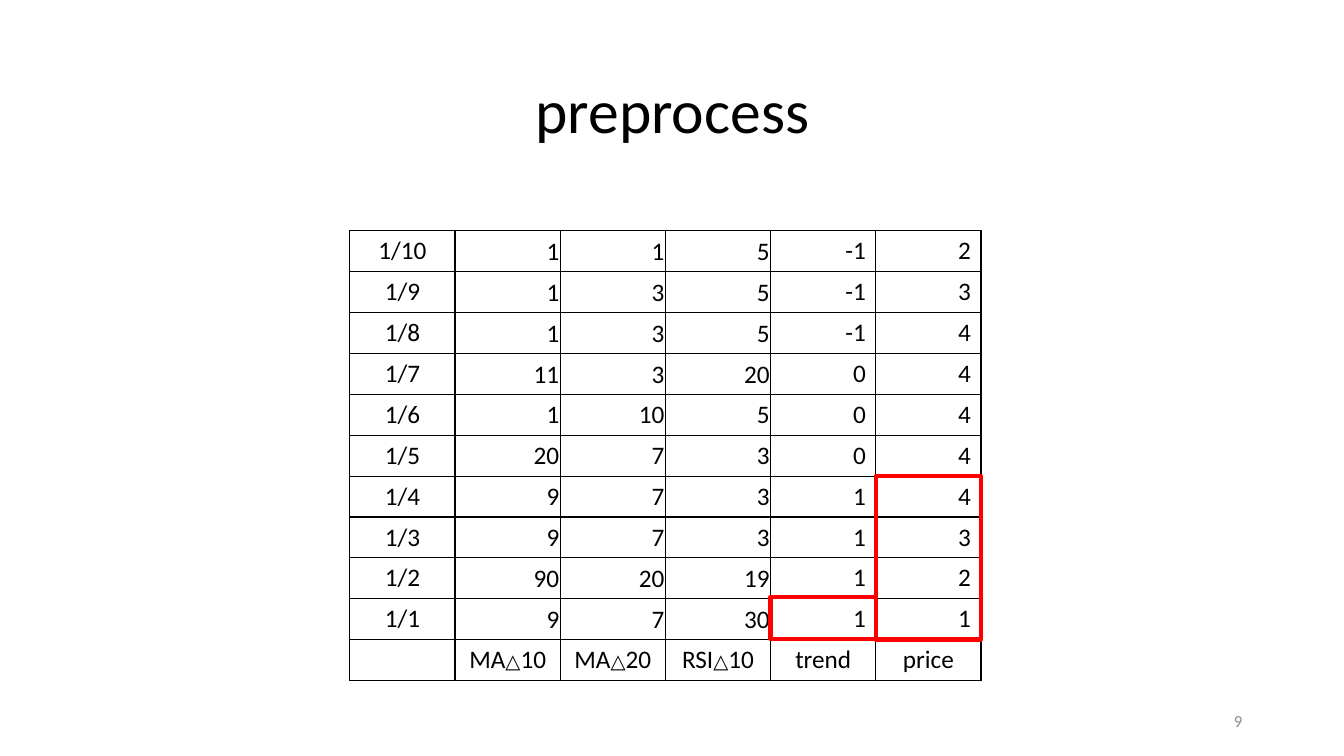
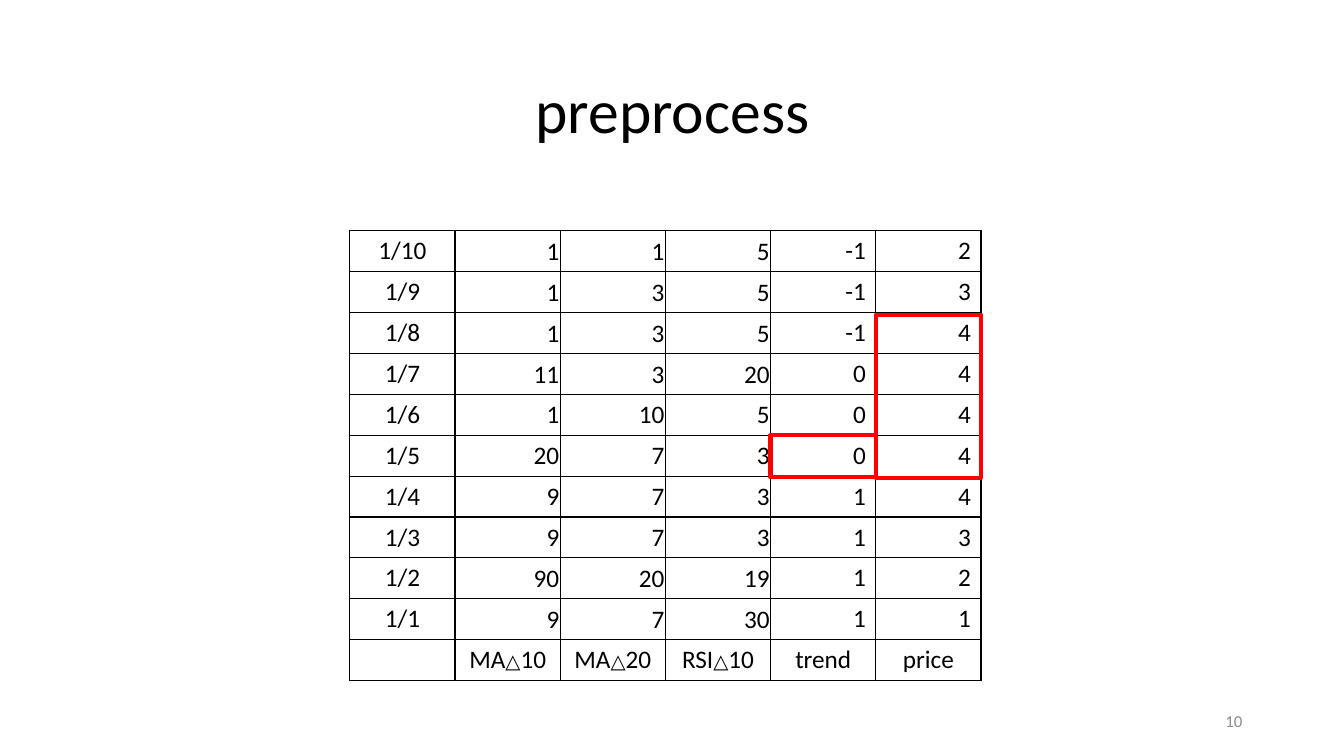
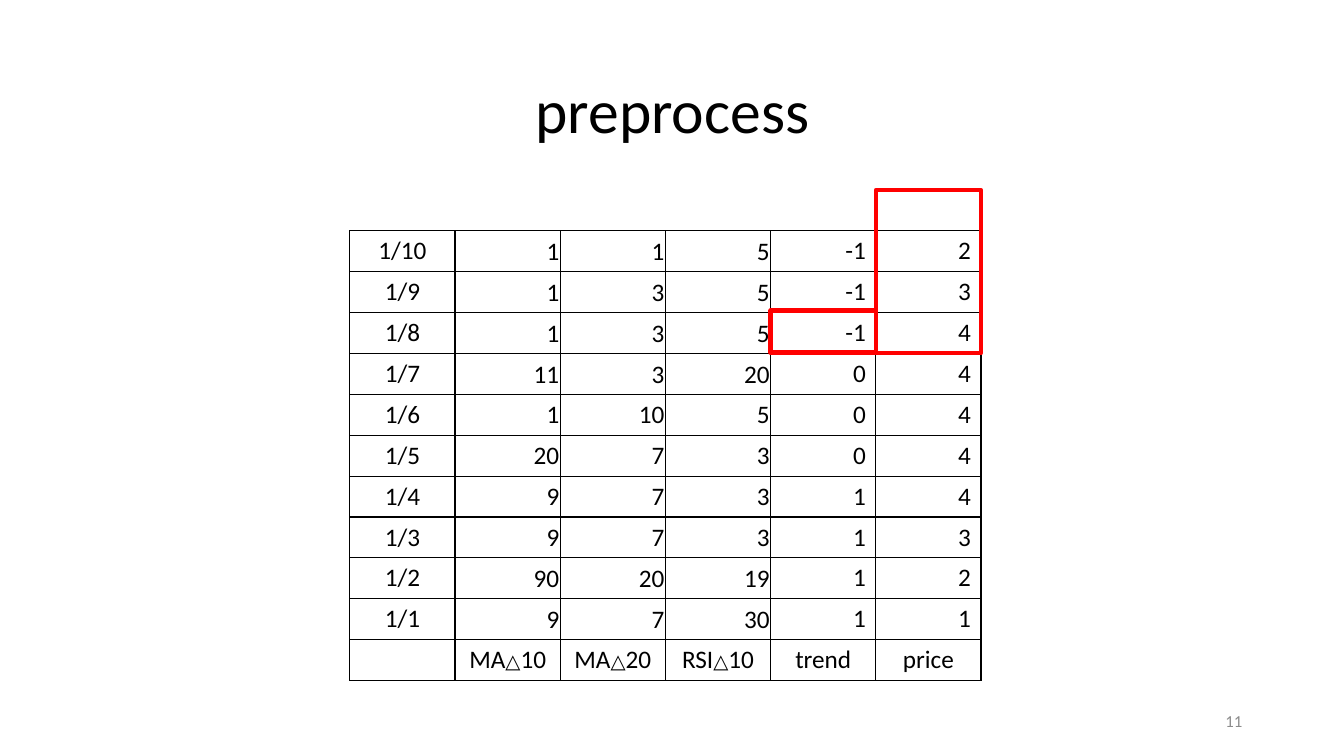
from lxml import etree
from pptx import Presentation
from pptx import util as u
from pptx.dml.color import RGBColor
from pptx.enum import shapes, text
from pptx.oxml.ns import qn

COLORS = {"ink": "000000", "marker": "FF0000", "number": "8C8C8C"}
FONT = "Calibri"
WIDTH, HEIGHT = 13.33, 7.5

# Table grid, in inches
LEFT, TOP = 3.47, 2.29
COLUMN, ROW = 6.26 / 6, 4.46 / 11
TREND, PRICE = 4, 5

INDICATORS = [
    ("1/10", 1, 1, 5, -1, 2),
    ("1/9", 1, 3, 5, -1, 3),
    ("1/8", 1, 3, 5, -1, 4),
    ("1/7", 11, 3, 20, 0, 4),
    ("1/6", 1, 10, 5, 0, 4),
    ("1/5", 20, 7, 3, 0, 4),
    ("1/4", 9, 7, 3, 1, 4),
    ("1/3", 9, 7, 3, 1, 3),
    ("1/2", 90, 20, 19, 1, 2),
    ("1/1", 9, 7, 30, 1, 1),
    ("", "MA△10", "MA△20", "RSI△10", "trend", "price"),
]

# Slide number and the first table row of its price window
WINDOWS = [(9, 6), (10, 2.05), (11, -1)]
WINDOW_ROWS = 4


def rgb(name):
    return RGBColor.from_string(COLORS[name])


class Deck:
    def __init__(self):
        self.prs = Presentation()
        self.prs.slide_width = u.Inches(WIDTH)
        self.prs.slide_height = u.Inches(HEIGHT)
        self.slide = None

    def run(self, paragraph, words, size, color="ink"):
        run = paragraph.add_run()
        run.text = words
        run.font.name = FONT
        run.font.size = u.Pt(size)
        run.font.color.rgb = rgb(color)

    def start(self, heading):
        self.slide = self.prs.slides.add_slide(self.prs.slide_layouts[5])
        title = self.slide.shapes.title
        title.left, title.top = u.Inches(0.92), u.Inches(0.4)
        title.width, title.height = u.Inches(11.5), u.Inches(1.45)
        title.text_frame.vertical_anchor = text.MSO_ANCHOR.MIDDLE
        paragraph = title.text_frame.paragraphs[0]
        paragraph.alignment = text.PP_ALIGN.CENTER
        paragraph.line_spacing = 0.9
        self.run(paragraph, heading, 44)

    def border(self, cell):
        properties = cell._tc.get_or_add_tcPr()
        for side in ("lnL", "lnR", "lnT", "lnB"):
            line = etree.SubElement(properties, qn(f"a:{side}"), w=str(u.Pt(1)))
            fill = etree.SubElement(line, qn("a:solidFill"))
            etree.SubElement(fill, qn("a:srgbClr"), val=COLORS["ink"])

    def table(self, rows):
        count = len(rows[0])
        table = self.slide.shapes.add_table(
            len(rows), count, u.Inches(LEFT), u.Inches(TOP),
            u.Inches(count * COLUMN), u.Inches(len(rows) * ROW)).table
        table.first_row = table.horz_banding = False
        for r, values in enumerate(rows):
            labels = r == len(rows) - 1
            for c, value in enumerate(values):
                cell = table.cell(r, c)
                self.border(cell)
                cell.fill.background()
                paragraph = cell.text_frame.paragraphs[0]
                centred = labels or c == 0
                paragraph.alignment = (text.PP_ALIGN.CENTER if centred
                                       else text.PP_ALIGN.RIGHT)
                # Indicator values sit tight against the cell edge
                if not centred and c < TREND:
                    cell.vertical_anchor = text.MSO_ANCHOR.MIDDLE
                    cell.margin_left = cell.margin_right = u.Inches(0.01)
                    cell.margin_top, cell.margin_bottom = u.Inches(0.01), 0
                # The triangle is set smaller than the words around it
                before, triangle, after = str(value).partition("△")
                for part, size in ((before, 18), (triangle, 14), (after, 18)):
                    if part:
                        self.run(paragraph, part, size)

    def marker(self, column, row, rows):
        box = self.slide.shapes.add_shape(
            shapes.MSO_SHAPE.RECTANGLE,
            u.Inches(LEFT + column * COLUMN), u.Inches(TOP + row * ROW),
            u.Inches(COLUMN), u.Inches(rows * ROW))
        box.shadow.inherit = False
        box.fill.background()
        box.line.color.rgb = rgb("marker")
        box.line.width = u.Pt(3)

    def number(self, value):
        box = self.slide.shapes.add_textbox(
            u.Inches(9.42), u.Inches(6.95), u.Inches(3), u.Inches(0.4))
        frame = box.text_frame
        frame.word_wrap = True
        frame.vertical_anchor = text.MSO_ANCHOR.MIDDLE
        frame.paragraphs[0].alignment = text.PP_ALIGN.RIGHT
        self.run(frame.paragraphs[0], str(value), 12, "number")


def main():
    deck = Deck()
    for number, first in WINDOWS:
        deck.start("preprocess")
        deck.table(INDICATORS)
        # Price window and the trend value taken from its last row
        deck.marker(PRICE, first, WINDOW_ROWS)
        deck.marker(TREND, first + WINDOW_ROWS - 1.05, 1.03)
        deck.number(number)
    deck.prs.save("out.pptx")


if __name__ == "__main__":
    main()
